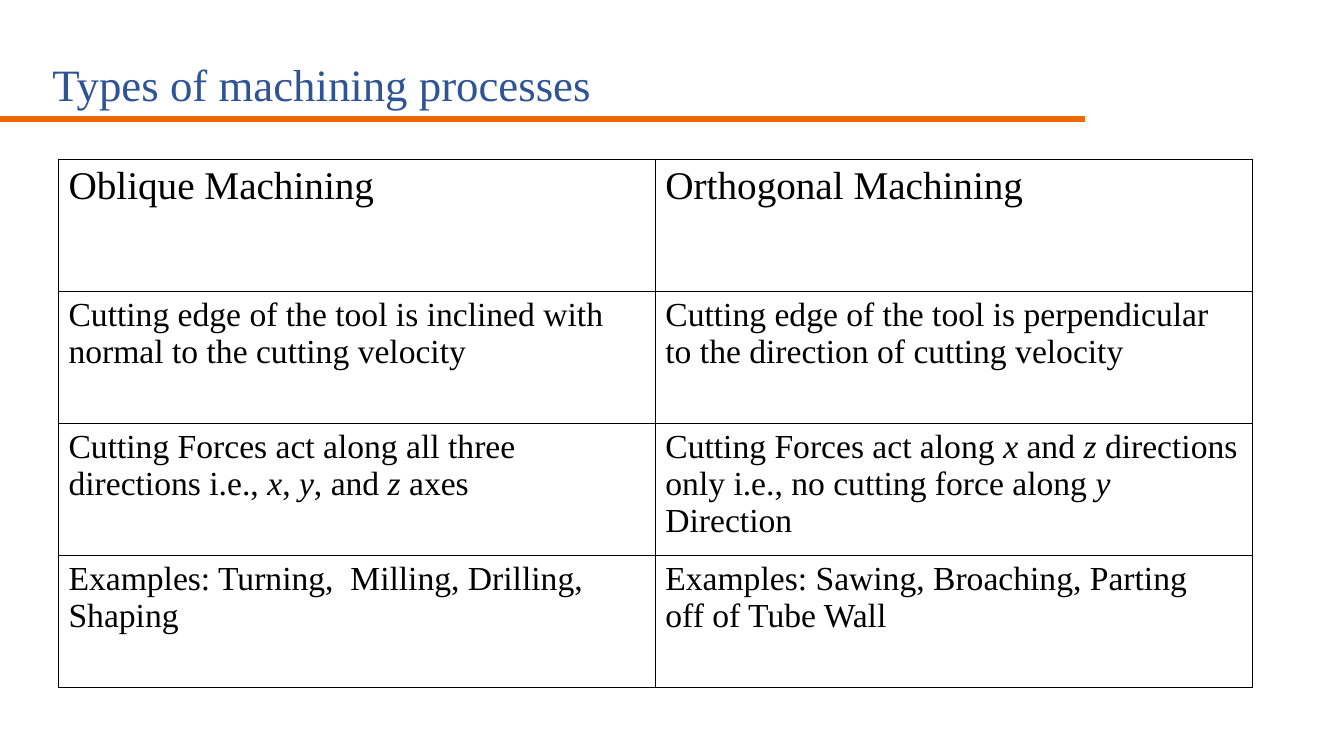
from dataclasses import dataclass

from lxml.etree import SubElement
from pptx import Presentation
from pptx.dml.color import RGBColor as Rgb
from pptx.enum.shapes import MSO_CONNECTOR as Link, MSO_SHAPE as Kind
from pptx.enum.text import MSO_ANCHOR as Anchor, MSO_AUTO_SIZE as Fit, PP_ALIGN as Align
from pptx.oxml.ns import qn
from pptx.slide import Slide
from pptx.table import _Cell as Cell
from pptx.util import Inches, Pt


@dataclass(frozen=True)
class Theme:
    font: str = "Times New Roman"
    title: str = "2E5496"
    ink: str = "000000"
    rule: str = "E36C09"
    edge: str = "FF6600"
    title_size: int = 32
    head_size: int = 28
    body_size: int = 24


@dataclass(frozen=True)
class Row:
    left: str
    right: str
    size: int


THEME = Theme()
ROWS = [
    Row("Oblique Machining", "Orthogonal Machining", THEME.head_size),
    Row("Cutting edge of the tool is inclined with normal to the cutting velocity",
        "Cutting edge of the tool is perpendicular to the direction of cutting velocity",
        THEME.body_size),
    Row("Cutting Forces act along all three directions i.e., *x*, *y*, and *z* axes",
        "Cutting Forces act along *x* and *z *directions only i.e., "
        "no cutting force along *y* Direction",
        THEME.body_size),
    Row("Examples: Turning,  Milling, Drilling, Shaping",
        "Examples: Sawing, Broaching, Parting\noff of Tube Wall",
        THEME.body_size),
]


def add_title(slide: Slide, text: str) -> None:
    title = slide.shapes.title
    title.left, title.top = Inches(0.42), Inches(0.51)
    title.width, title.height = Inches(11.08), Inches(0.64)
    frame = title.text_frame
    frame.text = text
    frame.word_wrap = True
    frame.auto_size = Fit.SHAPE_TO_FIT_TEXT
    frame.vertical_anchor = Anchor.BOTTOM
    para = frame.paragraphs[0]
    para.alignment = Align.LEFT
    font = para.runs[0].font
    font.name, font.size = THEME.font, Pt(THEME.title_size)
    font.color.rgb = Rgb.from_string(THEME.title)


def add_rule(slide: Slide) -> None:
    width = Inches(10.76)
    line = slide.shapes.add_connector(
        Link.STRAIGHT, 0, Inches(1.18), width, Inches(1.18))
    line.line.color.rgb = Rgb.from_string(THEME.rule)
    line.line.width = Pt(3.6)
    SubElement(line._element.spPr, qn("a:effectLst"))
    edge = slide.shapes.add_shape(
        Kind.RECTANGLE, 0, Inches(1.16), width, Inches(0.05))
    edge.shadow.inherit = False
    edge.fill.background()
    edge.line.color.rgb = Rgb.from_string(THEME.edge)
    edge.line.width = Pt(0.72)


def add_border(cell: Cell) -> None:
    props = cell._tc.get_or_add_tcPr()
    for spot, side in enumerate(("a:lnL", "a:lnR", "a:lnT", "a:lnB")):
        line = SubElement(props, qn(side), w=str(Pt(1)))
        fill = SubElement(line, qn("a:solidFill"))
        SubElement(fill, qn("a:srgbClr"), val=THEME.ink)
        props.insert(spot, line)


def fill_cell(cell: Cell, text: str, size: int) -> None:
    cell.fill.background()
    add_border(cell)
    frame = cell.text_frame
    for spot, line in enumerate(text.split("\n")):
        para = frame.add_paragraph() if spot else frame.paragraphs[0]
        for turn, part in enumerate(line.split("*")):
            run = para.add_run()
            run.text = part
            font = run.font
            font.name, font.size = THEME.font, Pt(size)
            font.bold, font.italic = False, turn % 2 == 1
            font.color.rgb = Rgb.from_string(THEME.ink)


def add_grid(slide: Slide, rows: list[Row]) -> None:
    grid = slide.shapes.add_table(
        len(rows), 2, Inches(0.58), Inches(1.58), Inches(11.84), Inches(5.24)).table
    grid.first_row = grid.horz_banding = False
    for spot, row in enumerate(rows):
        for col, text in enumerate((row.left, row.right)):
            fill_cell(grid.cell(spot, col), text, row.size)


def main() -> None:
    deck = Presentation()
    deck.slide_width, deck.slide_height = Inches(13.33), Inches(7.5)
    slide = deck.slides.add_slide(deck.slide_layouts[5])
    add_rule(slide)
    add_title(slide, "Types of machining processes")
    add_grid(slide, ROWS)
    deck.save("out.pptx")


if __name__ == "__main__":
    main()
